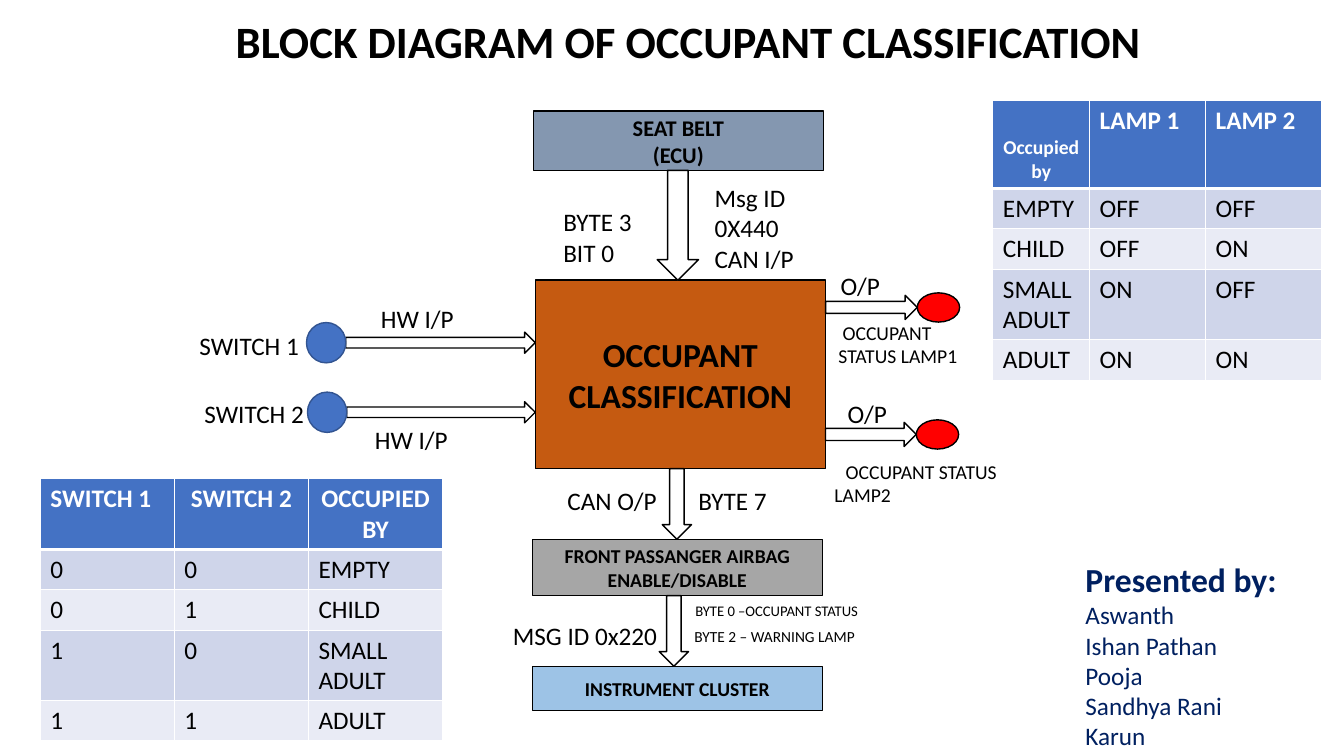
import pptx
import pptx.util
import pptx.dml.color
import pptx.enum.shapes
import pptx.enum.text
import pptx.oxml
import pptx.oxml.ns

# Content: lengths are cells of a grid with ten cells to the inch
CELL = pptx.util.Inches(0.1)
COLUMNS, ROWS = 133.33, 75
FONT = "Calibri"
BLACK, WHITE, BLUE, RED, NAVY = "000000", "FFFFFF", "4472C4", "FF0000", "002060"
BANDS = ["CFD5EA", "E9EBF5"]

# Blocks from top to bottom: lines, left, top, height, fill, text size
BLOCK_WIDTH = 28.8
BLOCKS = [
    (["SEAT BELT", "(ECU)"], 52.9, 11, 5.9, "8497B0", 16),
    (["OCCUPANT CLASSIFICATION"], 53.1, 27.8, 18.7, "C55A11", 24),
    (["FRONT PASSANGER AIRBAG ENABLE/DISABLE"], 52.8, 53.5, 5.6, "A6A6A6", 14),
    (["INSTRUMENT CLUSTER"], 52.8, 66.1, 4.4, "9DC3E6", 14),
]
# Arrows between the blocks: centre, width
DOWN_ARROWS = [(67.25, 4.1), (67.15, 2.9), (66.85, 2.9)]

# Left edge and middle of each round part
SWITCHES = [(30.4, 34), (30.5, 40.9)]
SWITCH_WIDTH, SWITCH_HEIGHT, SWITCH_ARROW = 3.9, 4, 2.1
LAMPS = [(91, 30.5), (90.9, 43.1)]
LAMP_WIDTH, LAMP_HEIGHT, LAMP_ARROW = 4.2, 2.9, 2.4

# Labels: lines, left, top, width, height, size, first-line indent
LABELS = [
    (["BYTE 3", "BIT 0"], 54.9, 20, 9, 7.1, 18, 0),
    (["Msg ID", "0X440", "CAN I/P"], 69.9, 17.6, 10.8, 10.1, 18, 0),
    (["HW I/P"], 36.8, 29.6, 13.1, 4, 18, 0),
    (["HW I/P"], 36.2, 41.6, 12.5, 4, 18, 0),
    (["SWITCH 1"], 18.8, 32.3, 13.5, 4, 18, 0),
    (["SWITCH 2"], 19.3, 39, 13, 4, 18, 0),
    (["O/P"], 82.4, 26.3, 8, 4, 18, 0),
    (["O/P"], 83.1, 39, 8, 4, 18, 0),
    (["OCCUPANT STATUS LAMP1"], 82.2, 31.3, 14.3, 5.7, 14, 0.4),
    (["OCCUPANT STATUS LAMP2"], 81.8, 45.1, 18.1, 5.7, 14, 1.1),
    (["CAN O/P"], 55.3, 47.7, 11.5, 4, 18, 0),
    (["BYTE 7"], 68.3, 47.7, 12.4, 4, 18, 0),
    (["MSG ID 0x220"], 49.9, 61, 19, 4, 18, 0),
    (["BYTE 0 –OCCUPANT STATUS"], 68, 59.2, 24.4, 2.8, 10.5, 0),
    (["BYTE 2 – WARNING LAMP"], 67.9, 61.7, 30.6, 2.9, 11, 0),
]
TITLE = "BLOCK DIAGRAM OF OCCUPANT CLASSIFICATION"
PRESENTERS = ["Presented by:", "Aswanth", "Ishan Pathan", "Pooja", "Sandhya Rani", "Karun"]

SWITCH_TABLE = [
    ["SWITCH 1", "SWITCH 2", "OCCUPIED BY"],
    ["0", "0", "EMPTY"],
    ["0", "1", "CHILD"],
    ["1", "0", "SMALL ADULT"],
    ["1", "1", "ADULT"],
]
LAMP_TABLE = [
    ["Occupied by", "LAMP 1", "LAMP 2"],
    ["EMPTY", "OFF", "OFF"],
    ["CHILD", "OFF", "ON"],
    ["SMALL ADULT", "ON", "OFF"],
    ["ADULT", "ON", "ON"],
]
BODY_ROWS = [4, 4, 7, 4]

SHAPE = pptx.enum.shapes.MSO_SHAPE
ANCHOR = pptx.enum.text.MSO_ANCHOR
CENTER = pptx.enum.text.PP_ALIGN.CENTER


def cells(*lengths):
    return [round(length * CELL) for length in lengths]


def color(value):
    return pptx.dml.color.RGBColor.from_string(value)


def write(frame, lines, size, ink=BLACK, bold=False, align=None):
    frame.word_wrap = True
    frame.text = "\n".join(lines)
    for paragraph in frame.paragraphs:
        paragraph.alignment = align
        for run in paragraph.runs:
            run.font.name = FONT
            run.font.size = pptx.util.Pt(size)
            run.font.bold = bold
            run.font.color.rgb = color(ink)


def add_outlined(kind, left, top, width, height, fill=WHITE, line=BLACK):
    shape = slide.shapes.add_shape(kind, *cells(left, top, width, height))
    shape.shadow.inherit = False
    shape.fill.solid()
    shape.fill.fore_color.rgb = color(fill)
    shape.line.color.rgb = color(line)
    shape.line.width = pptx.util.Pt(1)
    return shape


def add_label(lines, left, top, width, height, size, indent=0, ink=BLACK, bold=False):
    frame = slide.shapes.add_textbox(*cells(left, top, width, height)).text_frame
    write(frame, lines, size, ink, bold)
    if indent:
        frame.paragraphs[0]._p.get_or_add_pPr().set("indent", str(cells(indent)[0]))
    return frame


def add_borders(cell, bottom):
    properties = cell._tc.get_or_add_tcPr()
    for position, (side, points) in enumerate(
        [("lnL", 1), ("lnR", 1), ("lnT", 1), ("lnB", bottom)]
    ):
        border = pptx.oxml.parse_xml(
            f'<a:{side} {pptx.oxml.ns.nsdecls("a")} w="{pptx.util.Pt(points)}">'
            f'<a:solidFill><a:srgbClr val="{WHITE}"/></a:solidFill></a:{side}>'
        )
        properties.insert(position, border)


def add_grid(content, left, top, widths, header_height, centered):
    heights = [header_height] + BODY_ROWS
    table = slide.shapes.add_table(
        len(content), len(widths), *cells(left, top, sum(widths), sum(heights))
    ).table
    for column, width in zip(table.columns, cells(*widths)):
        column.width = width
    for r, (row, height) in enumerate(zip(content, cells(*heights))):
        table.rows[r].height = height
        header = r == 0
        for c, text in enumerate(row):
            cell = table.cell(r, c)
            align = CENTER if header and c in centered else None
            write(cell.text_frame, [text], 18, WHITE if header else BLACK, header, align)
            cell.fill.solid()
            cell.fill.fore_color.rgb = color(BLUE if header else BANDS[(r - 1) % 2])
            add_borders(cell, 3 if header else 1)
    return table


presentation = pptx.Presentation()
presentation.slide_width, presentation.slide_height = cells(COLUMNS, ROWS)
slide = presentation.slides.add_slide(presentation.slide_layouts[6])

# Title
add_label([TITLE], 22.4, 0.9, 100, 6.4, 32, bold=True)

# Blocks
for lines, left, top, height, fill, size in BLOCKS:
    block = add_outlined(SHAPE.RECTANGLE, left, top, BLOCK_WIDTH, height, fill)
    block.text_frame.vertical_anchor = ANCHOR.MIDDLE
    write(block.text_frame, lines, size, bold=True, align=CENTER)

# Arrows from each block down to the next
for (center, width), upper, lower in zip(DOWN_ARROWS, BLOCKS, BLOCKS[1:]):
    start = upper[2] + upper[3]
    add_outlined(SHAPE.DOWN_ARROW, center - width / 2, start, width, lower[2] - start)

# Switches feeding the classification block
main_left = BLOCKS[1][1]
main_right = main_left + BLOCK_WIDTH
for left, middle in SWITCHES:
    start = left + SWITCH_WIDTH
    add_outlined(SHAPE.RIGHT_ARROW, start, middle - SWITCH_ARROW / 2,
                 main_left - start, SWITCH_ARROW)
    add_outlined(SHAPE.OVAL, left, middle - SWITCH_HEIGHT / 2,
                 SWITCH_WIDTH, SWITCH_HEIGHT, BLUE, "325491")

# Lamps driven by the classification block
for left, middle in LAMPS:
    add_outlined(SHAPE.RIGHT_ARROW, main_right, middle - LAMP_ARROW / 2,
                 left - main_right, LAMP_ARROW)
    add_outlined(SHAPE.OVAL, left, middle - LAMP_HEIGHT / 2, LAMP_WIDTH, LAMP_HEIGHT, RED)

# Labels
for label in LABELS:
    add_label(*label)

# Tables
add_grid(SWITCH_TABLE, 4, 47.5, [13.3] * 3, 7, {1, 2})
lamp_table = add_grid(LAMP_TABLE, 98.5, 10, [9.6, 11.5, 11.5], 8.7, {0})
occupied_cell = lamp_table.cell(0, 0)
occupied_cell.vertical_anchor = ANCHOR.BOTTOM
occupied_cell.text_frame.paragraphs[0].runs[0].font.size = pptx.util.Pt(14)

# Presenters
presenters = add_label(PRESENTERS, 106.7, 55, 24.4, 20, 18, ink=NAVY)
heading = presenters.paragraphs[0].runs[0].font
heading.size = pptx.util.Pt(24)
heading.bold = True

presentation.save("out.pptx")
